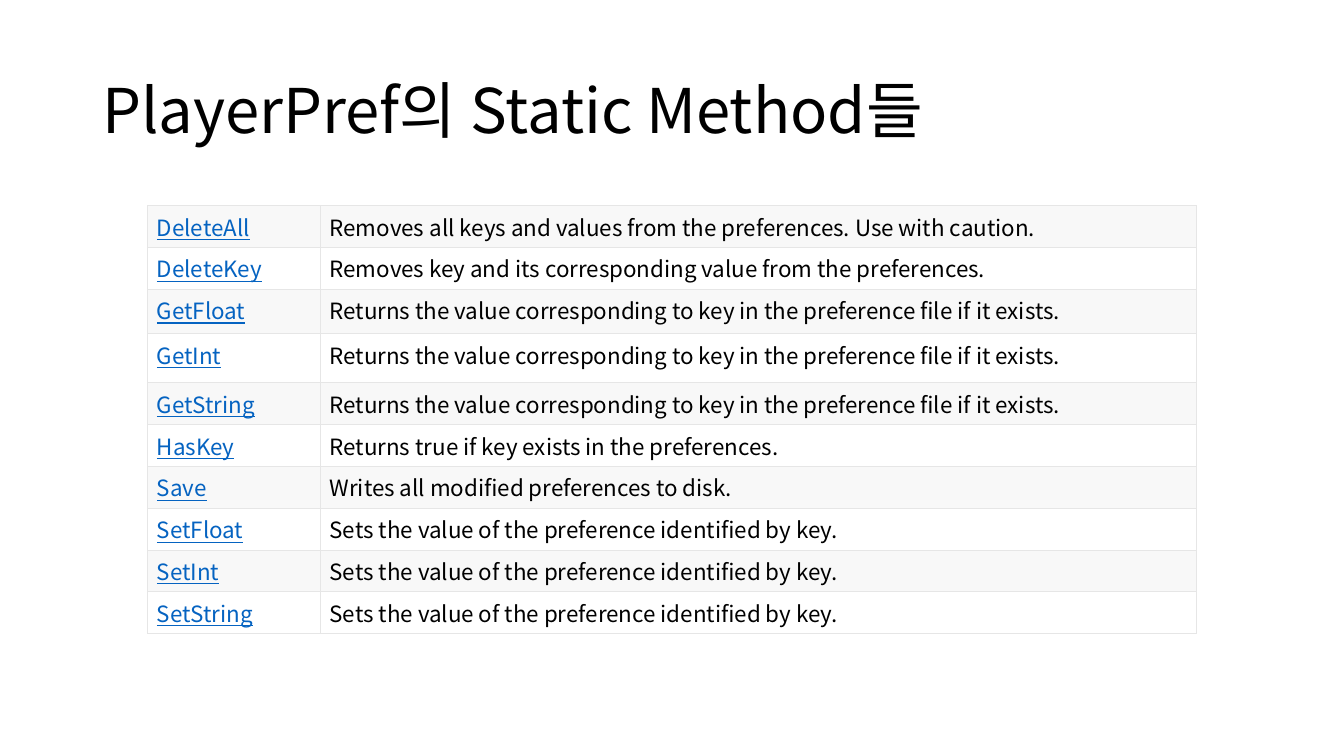
from lxml import etree
from pptx import Presentation
from pptx.dml.color import RGBColor
from pptx.enum import text as t
from pptx.oxml import ns
from pptx.util import Pt

FONT = "Noto Sans CJK KR"
BLACK = RGBColor(0x00, 0x00, 0x00)
BLUE = RGBColor(0x05, 0x63, 0xC1)
PALE = RGBColor(0xF8, 0xF8, 0xF8)
EDGE = RGBColor(0xE6, 0xE6, 0xE6)

RETURNS = "Returns the value corresponding to key in the preference file if it exists."
SETS = "Sets the value of the preference identified by key."
METHODS = [
    ("DeleteAll", "Removes all keys and values from the preferences. Use with caution."),
    ("DeleteKey", "Removes key and its corresponding value from the preferences."),
    ("GetFloat", RETURNS),
    ("GetInt", RETURNS),
    ("GetString", RETURNS),
    ("HasKey", "Returns true if key exists in the preferences."),
    ("Save", "Writes all modified preferences to disk."),
    ("SetFloat", SETS),
    ("SetInt", SETS),
    ("SetString", SETS),
]
WIDTHS = (123.4, 626)
HEIGHT = 29.87
TALL = {"GetFloat": 31.8, "GetInt": 35.2}


def add_run(para, words, size, color, under=False):
    run = para.add_run()
    run.text = words
    font = run.font
    font.size = Pt(size)
    font.name = FONT
    font.color.rgb = color
    font.underline = under
    east = etree.SubElement(run._r.get_or_add_rPr(), ns.qn("a:ea"))
    east.set("typeface", FONT)


def add_title(slide, words):
    box = slide.shapes.add_textbox(Pt(66), Pt(28.75), Pt(828), Pt(104.4))
    frame = box.text_frame
    frame.word_wrap = True
    frame.vertical_anchor = t.MSO_ANCHOR.MIDDLE
    para = frame.paragraphs[0]
    para.line_spacing = 0.9
    add_run(para, words, 44, BLACK)


def add_edges(cell):
    props = cell._tc.get_or_add_tcPr()
    for side in ("lnL", "lnR", "lnT", "lnB"):
        line = etree.SubElement(props, ns.qn("a:" + side), w=str(Pt(0.75)))
        fill = etree.SubElement(line, ns.qn("a:solidFill"))
        etree.SubElement(fill, ns.qn("a:srgbClr"), val=str(EDGE))


def fill_cell(cell, words, color, under, shade):
    cell.margin_left = cell.margin_right = Pt(6.7)
    cell.margin_top = cell.margin_bottom = Pt(3.35)
    add_edges(cell)
    if shade:
        cell.fill.solid()
        cell.fill.fore_color.rgb = PALE
    else:
        cell.fill.background()
    add_run(cell.text_frame.paragraphs[0], words, 16, color, under)


def add_methods(slide):
    heights = [TALL.get(name, HEIGHT) for name, _ in METHODS]
    frame = slide.shapes.add_table(
        len(METHODS), len(WIDTHS), Pt(105.4), Pt(146.8),
        Pt(sum(WIDTHS)), Pt(sum(heights)))
    table = frame.table
    table.first_row = table.horz_banding = False
    for col, width in zip(table.columns, WIDTHS):
        col.width = Pt(width)
    for i, (name, about) in enumerate(METHODS):
        table.rows[i].height = Pt(heights[i])
        shade = i % 2 == 0
        fill_cell(table.cell(i, 0), name, BLUE, True, shade)
        fill_cell(table.cell(i, 1), about, BLACK, False, shade)


def main():
    deck = Presentation()
    deck.slide_width, deck.slide_height = Pt(960), Pt(540)
    slide = deck.slides.add_slide(deck.slide_layouts[6])
    add_title(slide, "PlayerPref의 Static Method들")
    add_methods(slide)
    deck.save("out.pptx")


main()
